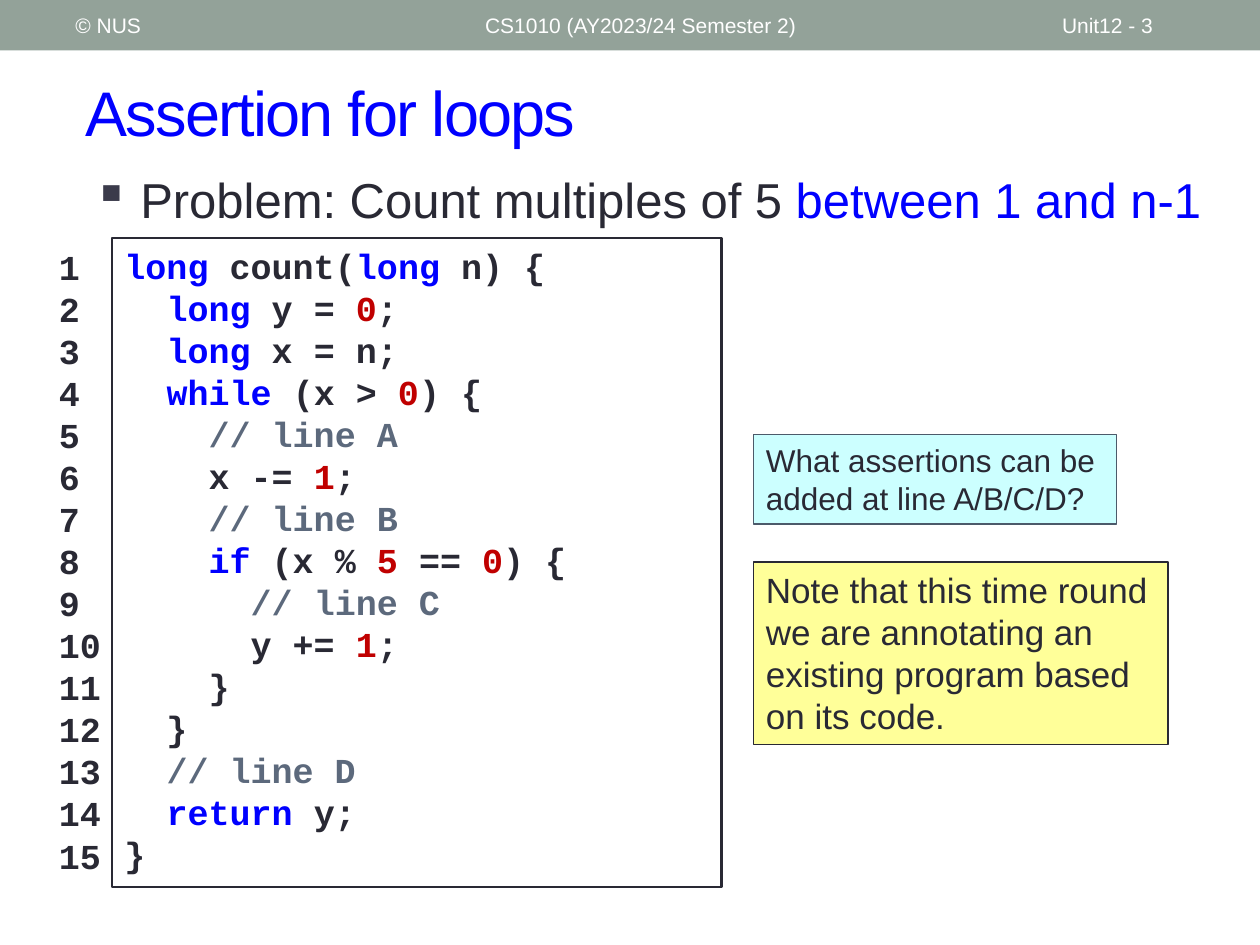
from itertools import groupby

from lxml import etree
from pptx import Presentation
from pptx.dml.color import RGBColor
from pptx.enum import shapes, text
from pptx.oxml.ns import qn
from pptx.util import Cm, Pt

COLORS = {
    "band": "93A299", "white": "FFFFFF", "ink": "292934", "blue": "0000FF",
    "number": "C00000", "comment": "5C697C", "bullet": "3B3B4B",
    "cyan": "CCFFFF", "slate": "4C5A6A", "yellow": "FFFF99",
}
SANS, MONO = "Arial", "Courier New"
KEYWORDS = {"long", "while", "if", "return"}
CODE = """\
long count(long n) {
  long y = 0;
  long x = n;
  while (x > 0) {
    // line A
    x -= 1;
    // line B
    if (x % 5 == 0) {
      // line C
      y += 1;
    }
  }
  // line D
  return y;
}""".splitlines()


def color(name):
    return RGBColor.from_string(COLORS[name])


def style(paragraph, size, name="ink", font=SANS, bold=False):
    paragraph.alignment = text.PP_ALIGN.LEFT
    paragraph.font.size = Pt(size)
    paragraph.font.name = font
    paragraph.font.bold = bold
    paragraph.font.color.rgb = color(name)


def add_runs(paragraph, runs):
    """Add (words, colour name) pairs as runs of one paragraph."""
    for words, name in runs:
        run = paragraph.add_run()
        run.text = words
        run.font.color.rgb = color(name)


def add_label(slide, box, words, size, name, anchor=text.MSO_ANCHOR.MIDDLE):
    frame = slide.shapes.add_textbox(*map(Cm, box)).text_frame
    frame.word_wrap = True
    frame.vertical_anchor = anchor
    paragraph = frame.paragraphs[0]
    paragraph.text = words
    style(paragraph, size, name)
    return paragraph


def add_panel(slide, box, fill, line=None, width=0):
    """Add a flat rectangle and return its text frame."""
    shape = slide.shapes.add_shape(shapes.MSO_SHAPE.RECTANGLE, *map(Cm, box))
    shape.shadow.inherit = False
    shape.fill.solid()
    shape.fill.fore_color.rgb = color(fill)
    if line:
        shape.line.color.rgb = color(line)
        shape.line.width = Pt(width)
    else:
        shape.line.fill.background()
    frame = shape.text_frame
    frame.word_wrap = True
    frame.vertical_anchor = text.MSO_ANCHOR.TOP
    return frame


def add_header(slide, box):
    left, top, width, height = box
    add_panel(slide, box, "band")
    for offset, label_width, words in (
        (1.27, 8.05, "© NUS"),
        (9.53, 11.43, "CS1010 (AY2023/24 Semester 2)"),
        (21.16, 2.97, "Unit12 - 3"),
    ):
        label = (left + offset, top + 0.05, label_width, height - 0.1)
        add_label(slide, label, words, 12, "white")


def add_title(slide, box, words):
    paragraph = add_label(slide, box, words, 36, "blue")
    paragraph.runs[0].font._element.set("spc", "-100")


def add_problem(slide, box, runs):
    paragraph = add_label(slide, box, "", 28, "ink", text.MSO_ANCHOR.TOP)
    properties = paragraph._p.get_or_add_pPr()
    properties.set("marL", str(Cm(0.95)))
    properties.set("indent", str(-Cm(0.95)))
    bullet_color = etree.Element(qn("a:buClr"))
    etree.SubElement(bullet_color, qn("a:srgbClr"), val=COLORS["bullet"])
    bullet = etree.Element(qn("a:buChar"), char="▪")
    for position, element in enumerate((bullet_color, bullet)):
        properties.insert(position, element)
    add_runs(paragraph, runs)


def token_color(token):
    if token in KEYWORDS:
        return "blue"
    return "number" if token.isdigit() else "ink"


def highlight(line):
    """Split a line of code into (words, colour name) pairs."""
    code, slashes, comment = line.partition("//")
    tokens = ["".join(group) for _, group in groupby(code, str.isalnum)]
    runs = [("".join(group), name) for name, group in groupby(tokens, token_color)]
    return runs + ([(slashes + comment, "comment")] if slashes else [])


def add_code_lines(frame, lines):
    for index, runs in enumerate(lines):
        paragraph = frame.add_paragraph() if index else frame.paragraphs[0]
        style(paragraph, 20, font=MONO, bold=True)
        add_runs(paragraph, runs)


def add_listing(slide, box, lines):
    """Add the framed code, with its line numbers left of the frame."""
    left, top, width, height = box
    add_code_lines(add_panel(slide, box, "white", "ink", 1.5), map(highlight, lines))
    numbers = slide.shapes.add_textbox(
        Cm(left - 1.32), Cm(top + 0.03), Cm(1.93), Cm(height)).text_frame
    numbers.word_wrap = True
    add_code_lines(numbers, [[(str(n), "ink")] for n in range(1, len(lines) + 1)])


def add_note(slide, box, words, size, fill, line, width):
    paragraph = add_panel(slide, box, fill, line, width).paragraphs[0]
    paragraph.text = words
    style(paragraph, size)


def main():
    presentation = Presentation()
    presentation.slide_width, presentation.slide_height = Cm(25.4), Cm(19.05)
    slide = presentation.slides.add_slide(presentation.slide_layouts[6])
    add_header(slide, (0, 0, 25.4, 1.02))
    add_title(slide, (1.47, 1.07, 23.29, 2.34), "Assertion for loops")
    add_problem(slide, (1.63, 3.3, 23.29, 1.5), [
        ("Problem: Count multiples of 5 ", "ink"), ("between 1 and n-1", "blue")])
    add_listing(slide, (2.26, 4.8, 12.29, 13.08), CODE)
    add_note(slide, (15.19, 8.76, 7.32, 1.8),
             "What assertions can be added at line A/B/C/D?", 18, "cyan", "slate", 1)
    add_note(slide, (15.19, 11.33, 8.36, 3.68),
             "Note that this time round we are annotating an existing program "
             "based on its code.", 20, "yellow", "ink", 0.75)
    presentation.save("out.pptx")


if __name__ == "__main__":
    main()
